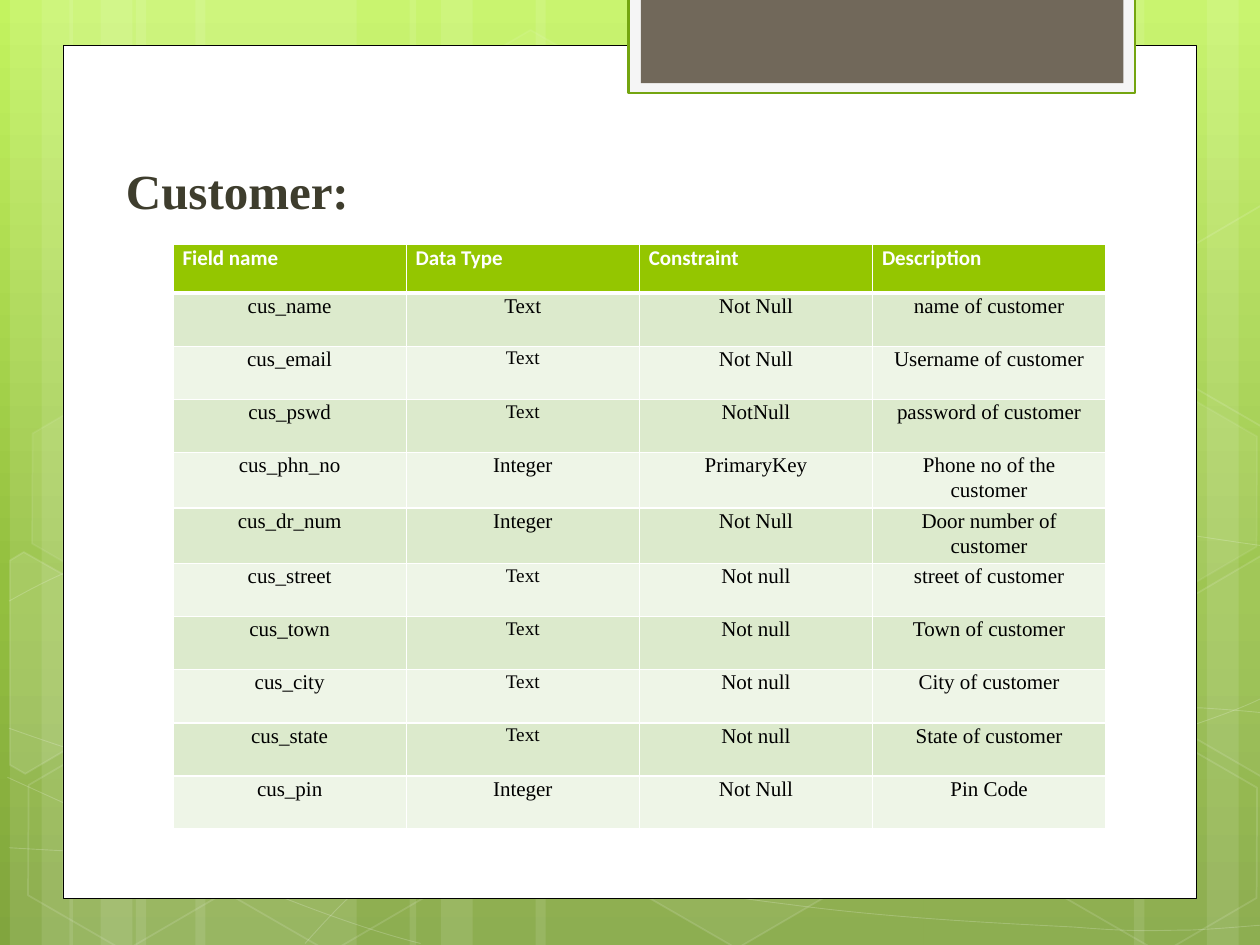
from lxml.etree import SubElement
from pptx import Presentation
from pptx.dml.color import RGBColor
from pptx.enum.shapes import MSO_SHAPE
from pptx.enum.text import PP_ALIGN
from pptx.oxml.ns import qn
from pptx.util import Cm, Pt

COLORS = {
    "white": "FFFFFF", "black": "000000", "title": "3E3D2D",
    "tab": "F5F5F5", "tab_line": "74A510", "tab_inner": "71685A",
    "header": "94C600", "odd_row": "DCEACC", "even_row": "EEF5E7",
}
BACKGROUND_STOPS = [(0, "C3F35F"), (62, "93BF3F"), (100, "81A53E")]
SLIDE_HEIGHT = 19.05

STRIPES = [  # left, width
    (2.74, 4.45), (0.2, 1.27), (0.84, 2.11), (3.94, 4.45), (1.4, 1.27), (2.03, 2.11),
    (18.62, 4.45), (24.33, 1.27), (22.86, 2.11), (10.8, 7.82), (8.26, 1.27), (8.89, 2.11),
]
CURVES = [  # start point, then two control points and an end point per segment
    [(0.18, 17.09), (1.55, 17.17), (2.92, 17.25), (4.83, 17.22), (6.73, 17.2), (9.09, 17.15),
     (11.63, 16.89), (14.17, 16.64), (17.78, 16.15), (20.12, 15.67), (22.43, 15.19),
     (24.82, 14.43), (25.58, 14)],
    [(0.18, 12.12), (0.91, 11.71), (1.65, 11.33), (3.07, 10.95), (4.52, 10.57), (6.58, 10.01),
     (8.81, 9.83), (11.07, 9.65), (13.82, 9.63), (16.61, 9.83), (19.41, 10.03),
     (24.05, 10.82), (25.58, 11.02)],
    [(0.15, 15.67), (3.23, 17.07), (6.27, 18.47), (8.48, 19.02)],
    [(0.18, 14.68), (0.97, 14.96), (1.78, 15.24), (3.25, 15.65), (4.72, 16.03), (6.93, 16.66),
     (9.07, 17.09), (11.18, 17.53), (13.84, 17.98), (15.95, 18.24), (18.06, 18.52),
     (20.32, 18.62), (21.67, 18.69), (22.99, 18.8), (23.34, 18.75), (24, 18.75),
     (24.66, 18.72), (25.12, 18.67), (25.58, 18.64)],
    [(6.15, 19.02), (6.6, 18.52), (7.06, 18.01), (7.67, 17.55), (8.28, 17.09), (9.14, 16.59),
     (9.86, 16.23), (10.57, 15.88), (11, 15.72), (11.94, 15.47), (12.85, 15.21),
     (14.55, 14.86), (15.44, 14.68), (16.36, 14.5), (16.48, 14.5), (17.27, 14.45),
     (18.06, 14.38), (19.3, 14.3), (20.17, 14.27), (21.06, 14.25), (22.5, 14.27),
     (22.5, 14.27), (22.5, 14.27), (24.21, 14.27), (24.21, 14.27), (24.66, 14.3),
     (25.1, 14.33), (25.55, 14.38)],
]
HEXAGONS = [  # left, top, fill opacity, line opacity
    (8.48, 0.91, 4, 8), (12.62, 14.96, 6, 12), (0.28, 15.01, 0, 12), (0.36, 7.92, 7, 8),
    (4.42, 15.04, 0, 12), (19.13, 11.51, 10, 12), (21.18, 15.06, 0, 12), (21.18, 7.98, 7, 8),
]
CUT_HEXAGONS = [  # fill opacity, corners
    (10, [(0.2, 11.3), (0.48, 11.13), (2.44, 12.24), (2.41, 14.48), (0.51, 15.6), (0.2, 15.42)]),
    (4, [(23.52, 12.32), (25.43, 11.2), (25.63, 11.33), (25.63, 15.57), (25.45, 15.67),
         (23.52, 14.55)]),
    (0, [(23.52, 5.26), (25.43, 4.14), (25.65, 4.27), (25.63, 8.51), (25.45, 8.61),
         (23.52, 7.49)]),
]
ROWS = [
    ["Field name", "Data Type", "Constraint", "Description"],
    ["cus_name", "Text", "Not Null", "name of customer"],
    ["cus_email", "Text", "Not Null", "Username of customer"],
    ["cus_pswd", "Text", "NotNull", "password of customer"],
    ["cus_phn_no", "Integer", "PrimaryKey", "Phone no of the customer"],
    ["cus_dr_num", "Integer", "Not Null", "Door number of customer"],
    ["cus_street", "Text", "Not null", "street of customer"],
    ["cus_town", "Text", "Not null", "Town of customer"],
    ["cus_city", "Text", "Not null", "City of customer"],
    ["cus_state", "Text", "Not null", "State of customer"],
    ["cus_pin", "Integer", "Not Null", "Pin Code"],
]
ROW_HEIGHTS = [0.99] + 3 * [1.07] + 2 * [1.12] + 5 * [1.07]


def set_attributes(target, values):
    for name, value in values.items():
        setattr(target, name, value)


def paint(fill, color, opacity=100):
    """Fill with a named colour; zero opacity means no fill."""
    if not opacity:
        fill.background()
        return
    fill.solid()
    fill.fore_color.rgb = RGBColor.from_string(COLORS[color])
    if opacity < 100:
        color_element = fill._xPr.find(".//" + qn("a:srgbClr"))
        SubElement(color_element, qn("a:alpha"), val=str(opacity * 1000))


def style_shape(shape, fill, line="white", fill_opacity=100, line_opacity=100, line_width=0):
    shape.shadow.inherit = False
    paint(shape.fill, fill, fill_opacity)
    paint(shape.line.fill, line, line_opacity if line_width else 0)
    if line_width:
        shape.line.width = Pt(line_width)


def add_preset(slide, preset, box, **style):
    shape = slide.shapes.add_shape(preset, *map(Cm, box))
    style_shape(shape, **style)
    return shape


def add_outline(slide, points, close, **style):
    points = [(Cm(x), Cm(y)) for x, y in points]
    builder = slide.shapes.build_freeform(*points[0])
    builder.add_line_segments(points[1:], close=close)
    shape = builder.convert_to_shape()
    style_shape(shape, "white", **style)
    return shape


def bend(shape):
    """Turn each three line segments of an outline into one Bézier segment."""
    lines = list(shape.element.iter(qn("a:lnTo")))
    outline = lines[0].getparent()
    for start in range(0, len(lines), 3):
        curve = SubElement(outline, qn("a:cubicBezTo"))
        for line in lines[start:start + 3]:
            curve.append(line[0])
            outline.remove(line)


def add_background(slide):
    fill = slide.background.fill
    fill.gradient()
    fill.gradient_angle = 270
    stop_list = next(slide.element.iter(qn("a:gsLst")))
    stop_list.clear()
    for position, color in BACKGROUND_STOPS:
        stop = SubElement(stop_list, qn("a:gs"), pos=str(position * 1000))
        SubElement(stop, qn("a:srgbClr"), val=color)


def add_decoration(slide):
    for left, width in STRIPES:
        add_preset(slide, MSO_SHAPE.RECTANGLE, (left, 0, width, SLIDE_HEIGHT),
                   fill="white", fill_opacity=10)
    for nodes in CURVES:
        bend(add_outline(slide, nodes, False,
                         fill_opacity=0, line_opacity=20, line_width=0.5))
    for left, top, fill_opacity, line_opacity in HEXAGONS:
        hexagon = add_preset(slide, MSO_SHAPE.HEXAGON, (left, top, 4.45, 3.86), fill="white",
                             fill_opacity=fill_opacity, line_opacity=line_opacity, line_width=1)
        hexagon.rotation = 30
        hexagon.adjustments[0] = 0.285
    for fill_opacity, corners in CUT_HEXAGONS:
        add_outline(slide, corners, True,
                    fill_opacity=fill_opacity, line_opacity=12, line_width=1)


def add_panel(slide):
    for box, style in (
        ((1.27, 0.91, 22.86, 17.2), {"fill": "white", "line": "black", "line_width": 0.5}),
        ((12.67, -0.05, 10.21, 1.93), {"fill": "tab", "line": "tab_line", "line_width": 1.25}),
        ((12.92, -0.05, 9.73, 1.73), {"fill": "tab_inner"}),
    ):
        add_preset(slide, MSO_SHAPE.RECTANGLE, box, **style)


def write_text(paragraph, text, color, **font_values):
    run = paragraph.add_run()
    run.text = text
    set_attributes(run.font, font_values)
    run.font.color.rgb = RGBColor.from_string(COLORS[color])


def add_title(slide):
    frame = slide.shapes.add_textbox(Cm(2.11), Cm(3.12), Cm(20.8), Cm(14.2)).text_frame
    set_attributes(frame, {"word_wrap": True, "margin_left": Cm(0.43)})
    write_text(frame.paragraphs[0], "Customer:", "title",
               name="Times New Roman", size=Pt(28), bold=True)


def add_borders(cell, widths):
    properties = cell._tc.get_or_add_tcPr()
    for side, width in widths.items():
        line = SubElement(properties, qn("a:ln" + side), w=str(Pt(width)))
        fill = SubElement(line, qn("a:solidFill"))
        SubElement(fill, qn("a:srgbClr"), val=COLORS["white"])


def fill_cell(cell, text, row):
    header = row == 0
    set_attributes(cell, {"margin_left": Cm(0.19), "margin_right": Cm(0.19),
                          "margin_top": 0, "margin_bottom": 0})
    add_borders(cell, {"L": 1, "R": 1, "T": 3 if row == 1 else 1, "B": 3 if header else 1})
    paint(cell.fill, "header" if header else "odd_row" if row % 2 else "even_row")
    paragraph = cell.text_frame.paragraphs[0]
    set_attributes(paragraph, {"line_spacing": 1.07,
                               "alignment": PP_ALIGN.LEFT if header else PP_ALIGN.CENTER})
    write_text(paragraph, text, "white" if header else "black", bold=header,
               name="Calibri" if header else "Times New Roman",
               size=Pt(11 if text == "Text" and row > 1 else 12))


def add_field_table(slide):
    table = slide.shapes.add_table(len(ROWS), len(ROWS[0]), Cm(3.49), Cm(4.92),
                                   Cm(18.8), Cm(sum(ROW_HEIGHTS))).table
    for row, (texts, height) in enumerate(zip(ROWS, ROW_HEIGHTS)):
        table.rows[row].height = Cm(height)
        for column, text in enumerate(texts):
            fill_cell(table.cell(row, column), text, row)


def main():
    presentation = Presentation()
    set_attributes(presentation, {"slide_width": Cm(25.4), "slide_height": Cm(SLIDE_HEIGHT)})
    slide = presentation.slides.add_slide(presentation.slide_layouts[6])
    for add_part in (add_background, add_decoration, add_panel, add_title, add_field_table):
        add_part(slide)
    presentation.save("out.pptx")


if __name__ == "__main__":
    main()
